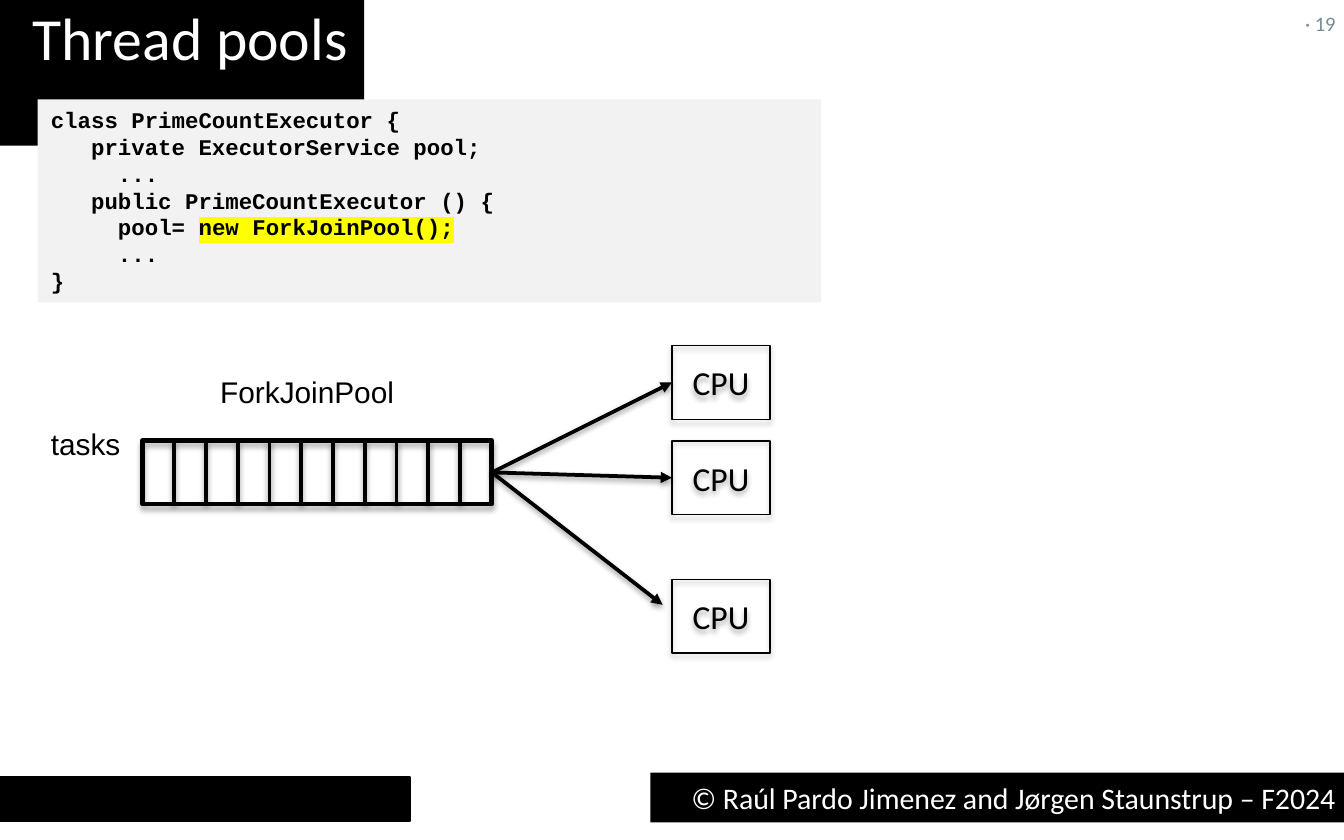
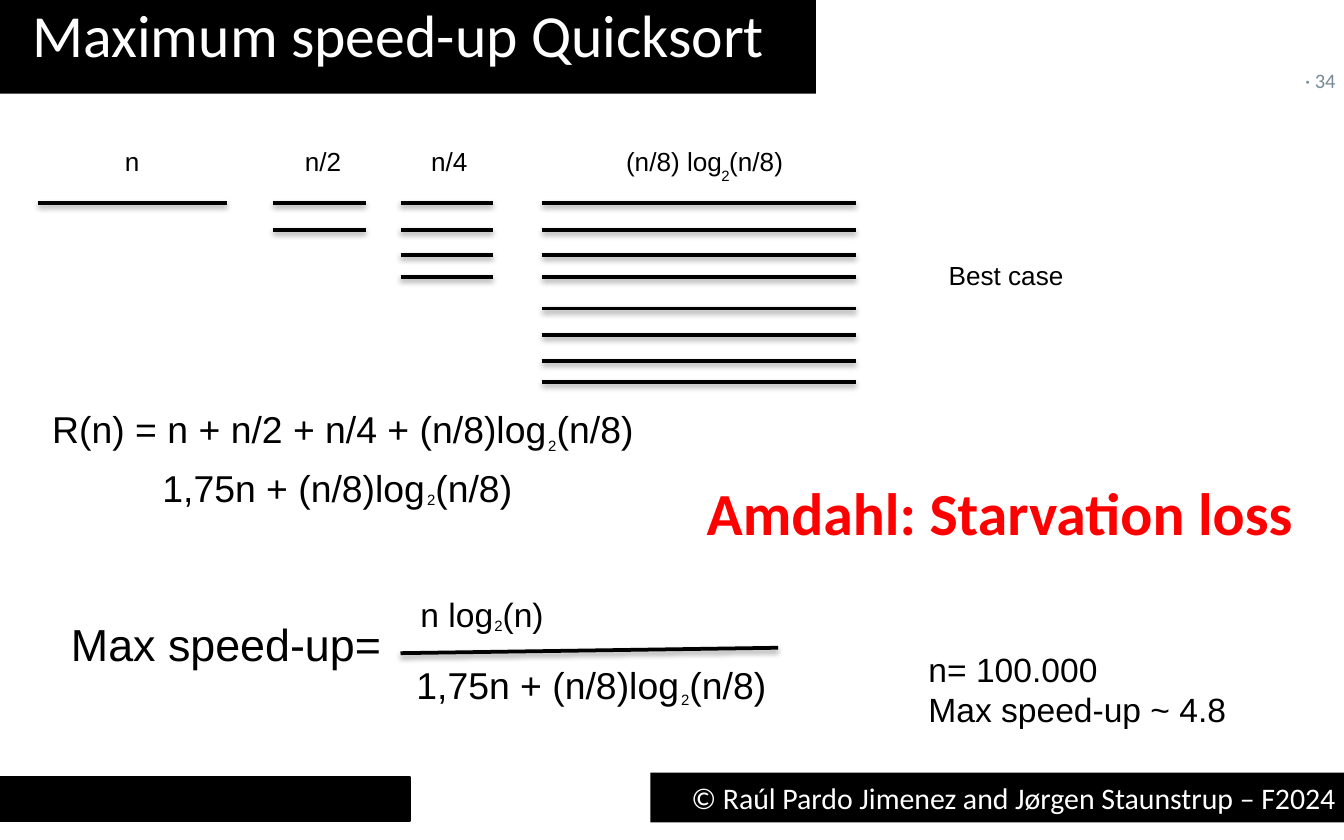
"""Build two lecture slides on thread pools and the maximum speed-up of Quicksort."""
from pptx import Presentation
from pptx import util as u
from pptx.dml.color import RGBColor
from pptx.enum import shapes, text
from pptx.oxml.ns import qn
from lxml import etree

COLUMNS, ROWS = 100, 62.5
BLACK, WHITE, GREY, CODE_GREY = "000000", "FFFFFF", "778A95", "F2F2F2"
RED, YELLOW = "FF0000", "FFFF00"
SANS, HEADING, MONO = "Arial", "Calibri", "Courier New"
COPYRIGHT = "© Raúl Pardo Jimenez and Jørgen Staunstrup – F2024"


def colour(value):
    return RGBColor.from_string(value)


def cast_shadow(properties, opacity, distance):
    effects = properties.find(qn("a:effectLst"))
    if effects is None:
        effects = etree.SubElement(properties, qn("a:effectLst"))
    shadow = etree.SubElement(effects, qn("a:outerShdw"), blurRad=str(u.Pt(3.1)),
                              dist=str(u.Pt(distance)), dir="5400000", rotWithShape="0")
    tint = etree.SubElement(shadow, qn("a:srgbClr"), val=BLACK)
    etree.SubElement(tint, qn("a:alpha"), val=str(opacity * 1000))


def write(frame, content, size=16, font=SANS, ink=BLACK, bold=False, align="LEFT",
          anchor="TOP", inset=(0.1, 0.05, 0.1, 0.05), wrap=False, grow=True,
          marked=None, tab=None):
    frame.word_wrap = wrap
    frame.auto_size = getattr(text.MSO_AUTO_SIZE, "SHAPE_TO_FIT_TEXT" if grow else "NONE")
    frame.vertical_anchor = getattr(text.MSO_ANCHOR, anchor)
    (frame.margin_left, frame.margin_top,
     frame.margin_right, frame.margin_bottom) = map(u.Inches, inset)
    for index, line in enumerate(content.split("\n")):
        paragraph = frame.add_paragraph() if index else frame.paragraphs[0]
        paragraph.alignment = getattr(text.PP_ALIGN, align)
        if tab:
            stops = etree.SubElement(paragraph._p.get_or_add_pPr(), qn("a:tabLst"))
            etree.SubElement(stops, qn("a:tab"), pos=str(u.Inches(tab)), algn="l")
        for piece in filter(None, line.partition(marked) if marked else [line]):
            run = paragraph.add_run()
            run.text = piece
            run.font.size, run.font.name, run.font.bold = u.Pt(size), font, bold
            run.font.color.rgb = colour(ink)
            if piece == marked:
                highlight = etree.Element(qn("a:highlight"))
                etree.SubElement(highlight, qn("a:srgbClr"), val=YELLOW)
                run.font._element.find(qn("a:solidFill")).addnext(highlight)


class Deck:
    """Hold the lecture style and the current slide, measured in grid columns and rows."""

    def __init__(self):
        self.show = Presentation()
        self.show.slide_width, self.show.slide_height = u.Inches(10), u.Inches(6.25)
        self.slide = None

    def x(self, column):
        return round(self.show.slide_width * column / COLUMNS)

    def y(self, row):
        return round(self.show.slide_height * row / ROWS)

    def place(self, column, row, width, height):
        return self.x(column), self.y(row), self.x(width), self.y(height)

    def new_slide(self, heading, title_row, title_width, number, number_row):
        self.slide = self.show.slides.add_slide(self.show.slide_layouts[5])
        title = self.slide.shapes.title
        title.left, title.top, title.width, title.height = self.place(
            0, title_row, title_width, 6.2)
        title.fill.solid()
        title.fill.fore_color.rgb = colour(BLACK)
        write(title.text_frame, heading, size=32, font=HEADING, ink=WHITE,
              anchor="MIDDLE", inset=(0.24, 0, 0.1, 0.08))
        self.box(0, 57.8, 30.5, 3.3, fill=BLACK, border=1)
        self.box(48.4, 57.5, 52, 3.7, COPYRIGHT, fill=BLACK, font=HEADING,
                 ink=WHITE, align="RIGHT", wrap=True)
        self.label(97.1, number_row, 2.5, 2.4, f"· {number}", size=11, font=HEADING,
                   ink=GREY, anchor="MIDDLE", inset=(0, 0, 0, 0), wrap=True, grow=False)

    def box(self, column, row, width, height, content="", fill=None, border=None,
            shadow=False, **style):
        shape = self.slide.shapes.add_shape(shapes.MSO_SHAPE.RECTANGLE,
                                            *self.place(column, row, width, height))
        shape.shadow.inherit = False
        if fill:
            shape.fill.solid()
            shape.fill.fore_color.rgb = colour(fill)
        else:
            shape.fill.background()
        if border:
            shape.line.color.rgb = colour(BLACK)
            shape.line.width = u.Pt(border)
        else:
            shape.line.fill.background()
        if shadow:
            cast_shadow(shape._element.spPr, 35, 1.8)
        if content:
            write(shape.text_frame, content, **style)
        return shape

    def label(self, column, row, width, height, content, **style):
        area = self.slide.shapes.add_textbox(*self.place(column, row, width, height))
        write(area.text_frame, content, **style)

    def line(self, start, end, source=None, target=None, arrow=False):
        stroke = self.slide.shapes.add_connector(
            shapes.MSO_CONNECTOR.STRAIGHT, self.x(start[0]), self.y(start[1]),
            self.x(end[0]), self.y(end[1]))
        if source:
            stroke.begin_connect(source, 3)
        if target:
            stroke.end_connect(target, 1)
        stroke.line.color.rgb = colour(BLACK)
        stroke.line.width = u.Pt(2)
        if arrow:
            etree.SubElement(stroke.line._get_or_add_ln(), qn("a:tailEnd"), type="triangle")
        cast_shadow(stroke._element.spPr, 38, 1.6)


def thread_pools(deck):
    deck.new_slide("Thread pools", 0, 27.1, 19, 0.5)
    code = """class PrimeCountExecutor {
   private ExecutorService pool;
\t...
   public PrimeCountExecutor () {
\tpool= new ForkJoinPool();
\t...
}"""
    deck.box(2.8, 7.4, 58.3, 15.1, code, fill=CODE_GREY, size=12, font=MONO, bold=True,
             wrap=True, marked="new ForkJoinPool();", tab=0.5)

    left, top, width, height, slots = 10.6, 32.8, 26, 4.7, 11
    queue = deck.box(left, top, width, height, border=2.5, shadow=True)
    for slot in range(1, slots):
        divider = left + width * slot / slots
        deck.line((divider, top), (divider, top + height))
    deck.label(2.8, 31.2, 7.3, 3.7, "tasks")
    deck.label(15.4, 27.3, 15.1, 3.7, "ForkJoinPool")

    queue_exit = (left + width, top + height / 2)
    for cpu_row, tip, joined in ((25.7, (50, 28.45), True), (32.8, (50, 35.55), True),
                                 (43.1, (49.3, 45), False)):
        cpu = deck.box(50, cpu_row, 7.3, 5.5, "CPU", border=0.75, shadow=True, size=18,
                       font=HEADING, align="CENTER", anchor="MIDDLE", wrap=True, grow=False)
        deck.line(queue_exit, tip, source=queue, target=cpu if joined else None, arrow=True)


def quicksort_speed_up(deck):
    deck.new_slide("Maximum speed-up Quicksort", -0.2, 60.7, 34, 4.8)
    levels = (("n", 8.3, 3.1, 2.8, 14.1), ("n/2", 21.7, 4.7, 20.3, 6.9),
              ("n/4", 31.1, 4.7, 29.8, 6.9), ("(n/8) log (n/8)", 45.6, 13.7, 40.3, 23.4))
    task_offsets = (0, 2, 3.9, 5.5)
    for depth, (cost, cost_column, cost_width, column, width) in enumerate(levels):
        deck.label(cost_column, 10.3, cost_width, 3.4, cost, size=14)
        for task in range(2 ** depth):
            group, member = divmod(task, len(task_offsets))
            row = 15.1 + 7.85 * group + task_offsets[member]
            deck.line((column, row), (column + width, row))

    deck.label(69.6, 18.8, 10.6, 3.4, "Best case", size=14)
    deck.label(2.9, 29.7, 45.5, 4.4, "R(n) = n + n/2 + n/4 + (n/8)log (n/8)", size=20)
    for column, row in ((11.1, 34.1), (30, 48.8)):
        deck.label(column, row, 29.5, 4.4, "1,75n + (n/8)log (n/8)", size=20, wrap=True)
    deck.label(4.3, 45.4, 26.3, 5, "Max speed-up=", size=24)
    deck.label(30.3, 43.7, 37.8, 4, "n log (n)", size=18, wrap=True)
    for column, row in ((39.8, 32), (52.7, 11.9), (30.8, 36), (49.7, 50.9), (35.8, 45.4)):
        deck.label(column, row, 2.7, 2.4, "2", size=8)
    deck.label(68.1, 47.8, 26, 7.1, "n= 100.000\nMax speed-up ~ 4.8", size=18, wrap=True)
    deck.label(51.6, 34.9, 48.4, 6.4, "Amdahl: Starvation loss", size=32, font=HEADING,
               ink=RED, bold=True, wrap=True)
    deck.line((57.9, 48.2), (29.8, 48.6))


def main():
    deck = Deck()
    thread_pools(deck)
    quicksort_speed_up(deck)
    deck.show.save("out.pptx")


if __name__ == "__main__":
    main()
